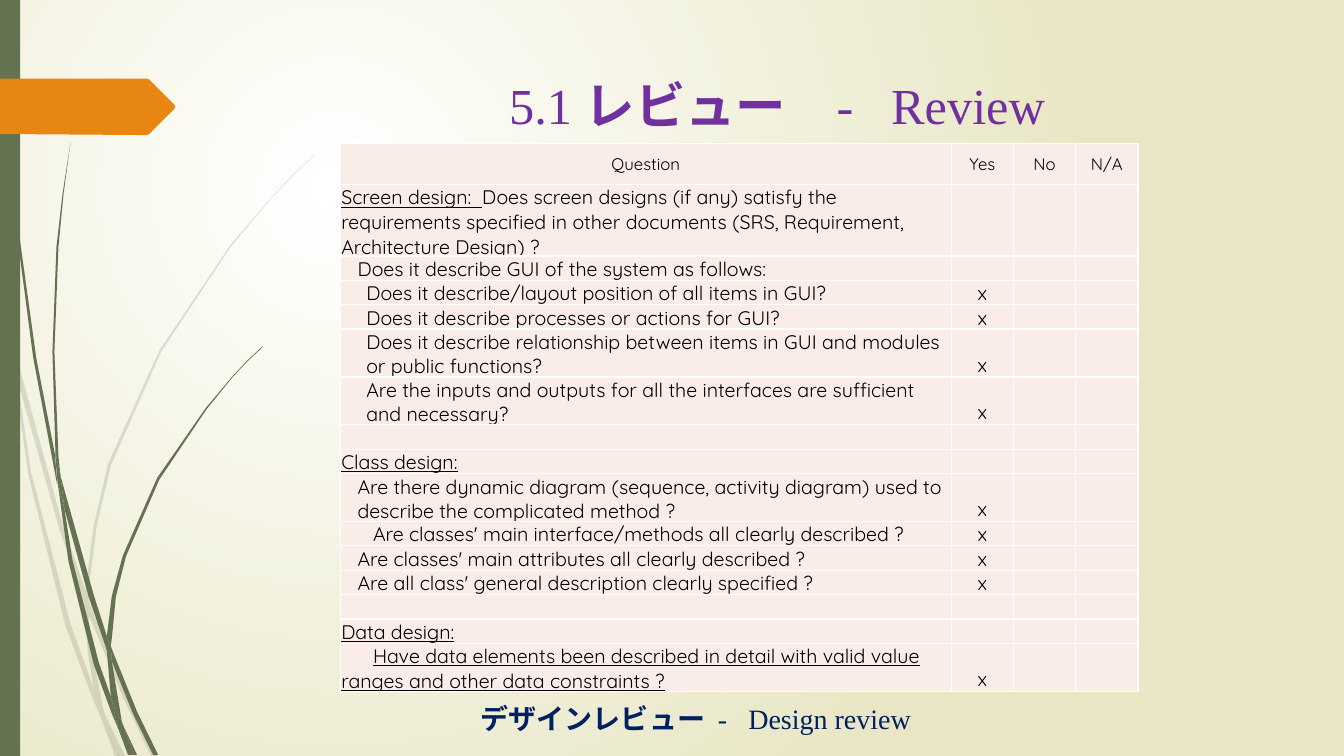
from lxml.etree import SubElement
from pptx import Presentation
from pptx.dml.color import RGBColor
from pptx.enum.shapes import MSO_SHAPE
from pptx.enum.text import MSO_ANCHOR, PP_ALIGN
from pptx.oxml.ns import qn
from pptx.util import Cm, Pt

COLORS = {"white": "FFFFFF", "sand": "E8E6C4", "green": "647252", "orange": "E78712",
          "purple": "7030A0", "navy": "002060", "pink": "FAEDE7", "black": "000000"}
LATIN, JAPANESE, TABLE_FONT = "Times New Roman", "Noto Sans CJK SC", "Quicksand"
OUTLINE_UNIT = Cm(2.54)
OUTLINE_STEPS = 100

PALE_GRASS = [
    [(0.11, 3.5), (0.09, 3.22), (0, 2.82), (0, 2.99), (0.1, 3.44)],
    [(0.58, 5.22), (0.84, 5.99), (0.85, 5.86), (0.62, 5.2), (0.14, 3.45), (0.17, 3.76)],
    [(0.92, 6.07), (0.88, 5.96), (0.88, 6.1), (1.23, 6.94), (1.5, 7.5), (1.55, 7.5),
     (1.27, 6.92)],
    [(1.19, 7.5), (1.24, 7.5), (1.05, 7.11)],
    [(0.93, 6.83), (0.7, 6.19), (0.31, 4.69), (0.17, 3.76), (0.11, 3.5), (0.28, 4.7),
     (0.65, 6.21), (0.92, 6.93), (1.01, 7.14), (0.99, 7.07)],
    [(0.84, 5.99), (0.87, 6.46), (0.93, 6.83), (0.96, 6.92), (1.05, 7.11), (1.03, 7.06),
     (0.91, 6.46), (0.88, 6.1), (0.88, 6.08)],
    [(0.88, 5.84), (0.96, 5.22), (1.1, 4.62), (1.6, 3.49), (2.29, 2.45), (2.68, 1.98),
     (2.9, 1.75), (3.12, 1.54), (3.12, 1.53), (2.89, 1.75), (2.68, 1.97), (2.28, 2.44),
     (1.58, 3.48), (1.07, 4.61), (0.93, 5.22), (0.85, 5.84), (0.85, 5.86), (0.88, 5.96)],
    [(1.01, 7.14), (1.14, 7.5), (1.19, 7.5)],
    [(0.88, 6.08), (0.88, 6.1), (0.88, 5.96), (0.85, 5.86), (0.84, 5.99)],
    [(0.96, 6.92), (0.93, 6.83), (0.99, 7.07), (1.01, 7.14), (1.19, 7.5), (1.05, 7.11)],
]
DARK_GRASS = [
    [(0.07, 1.1), (0.17, 2.33), (0.33, 3.55), (0.56, 4.77), (0.57, 4.81), (0.55, 4.57),
     (0.55, 4.53), (0.36, 3.55), (0.19, 2.32), (0.08, 1.09), (0.05, 0.48), (0.04, 0),
     (0.03, 0), (0.04, 0.48)],
    [(0.88, 5.92), (1.06, 6.45), (1.06, 6.33), (1.06, 6.31), (0.93, 5.9), (0.6, 4.72),
     (0.64, 5.05)],
    [(1.13, 6.49), (1.1, 6.41), (1.11, 6.56), (1.32, 7.08), (1.52, 7.49), (1.57, 7.49),
     (1.36, 7.06)],
    [(1.1, 6.91), (0.98, 6.57), (0.72, 5.56), (0.64, 5.05), (0.57, 4.77), (0.68, 5.57),
     (0.93, 6.59), (1.11, 7.08), (1.17, 7.22), (1.16, 7.17)],
    [(0.6, 4.72), (0.58, 4.53), (0.54, 3.49), (0.58, 2.45), (0.63, 1.93), (0.7, 1.41),
     (0.62, 1.93), (0.56, 2.45), (0.52, 3.49), (0.55, 4.49)],
    [(1.33, 7.49), (1.36, 7.49), (1.22, 7.19)],
    [(0.57, 4.77), (0.64, 5.05), (0.6, 4.72), (0.55, 4.49), (0.55, 4.53)],
    [(1.11, 6.33), (1.15, 5.92), (1.25, 5.52), (1.58, 4.76), (2.05, 4.06), (2.31, 3.74),
     (2.45, 3.59), (2.61, 3.44), (2.6, 3.44), (2.45, 3.58), (2.31, 3.73), (2.04, 4.05),
     (1.56, 4.74), (1.22, 5.51), (1.11, 5.91), (1.06, 6.31), (1.1, 6.41)],
    [(1.17, 7.22), (1.27, 7.49), (1.31, 7.49)],
    [(1.06, 6.45), (1.1, 6.91), (1.16, 7.06), (1.22, 7.19), (1.21, 7.16), (1.11, 6.56),
     (1.09, 6.51)],
    [(1.06, 6.45), (1.09, 6.51), (1.11, 6.56), (1.1, 6.41), (1.06, 6.31), (1.06, 6.33)],
    [(1.16, 7.06), (1.1, 6.91), (1.16, 7.17), (1.17, 7.22), (1.3, 7.49), (1.33, 7.49),
     (1.22, 7.19)],
]
PAGE_MARKER = [(1.73, 1.08), (1.48, 1.33), (1.46, 1.34), (1.36, 1.34), (0, 1.33), (0, 0.78),
               (1.46, 0.78), (1.48, 0.79), (1.73, 1.04), (1.74, 1.06)]

HEADINGS = ["Question", "Yes", "No", "N/A"]
LINE_HEIGHTS = {1: 0.58, 2: 1.14, 3: 1.68}
TOP, BOTTOM = MSO_ANCHOR.TOP, MSO_ANCHOR.BOTTOM
# lines, left inset, first-line indent, anchor, [(text, underlined)], answer under Yes
QUESTIONS = [
    (3, 0.02, 0, TOP, [("Screen design:  ", True),
                       ("Does screen designs (if any) satisfy the requirements specified in other "
                        "documents (SRS, Requirement, Architecture Design) ?", False)], ""),
    (1, 0.43, 0, BOTTOM, [("Does it describe GUI of the system as follows:", False)], ""),
    (1, 0.65, 0, BOTTOM, [("Does it describe/layout position of all items in GUI?", False)], "x"),
    (1, 0.65, 0, BOTTOM, [("Does it describe processes or actions for GUI?", False)], "x"),
    (2, 0.65, 0, BOTTOM, [("Does it describe relationship between items in GUI and modules or "
                           "public functions?", False)], "x"),
    (2, 0.65, 0, BOTTOM, [("Are the inputs and outputs for all the interfaces are sufficient and "
                           "necessary?", False)], "x"),
    (1, 0.02, 0, TOP, [], ""),
    (1, 0.02, 0, TOP, [("Class design:", True)], ""),
    (2, 0.43, 0, TOP, [("Are there dynamic diagram (sequence, activity diagram) used to describe "
                        "the complicated method ?", False)], "x"),
    (1, 0.02, 0.8, TOP, [("Are classes' main interface/methods all clearly described ?", False)], "x"),
    (1, 0.43, 0, TOP, [("Are classes' main attributes all clearly described ?", False)], "x"),
    (1, 0.43, 0, TOP, [("Are all class' general description clearly specified ?", False)], "x"),
    (1, 0.02, 0, TOP, [], ""),
    (1, 0.02, 0, TOP, [("Data design:", True)], ""),
    (2, 0.02, 0.8, TOP, [("Have data elements been described in detail with valid value ranges and "
                          "other data constraints ?", True)], "x"),
]


def rgb(name):
    return RGBColor.from_string(COLORS[name])


def set_background(slide):
    fill = slide.background.fill
    fill.gradient()
    for stop, position, color in zip(fill.gradient_stops, (0, 1), ("white", "sand")):
        stop.position = position
        stop.color.rgb = rgb(color)
    gradient = slide.element.xpath(".//a:gradFill")[0]
    for linear in gradient.findall(qn("a:lin")):
        gradient.remove(linear)
    circle = SubElement(gradient, qn("a:path"), {"path": "circle"})
    SubElement(circle, qn("a:fillToRect"), l="50000", t="50000", r="100000", b="100000")


def paint(shape, color):
    shape.shadow.inherit = False
    shape.fill.solid()
    shape.fill.fore_color.rgb = rgb(color)
    shape.line.fill.background()


def add_outline(shapes, points, color):
    """Draw a closed outline; the builder takes whole numbers, so points become hundredths."""
    start, *others = [(round(x * OUTLINE_STEPS), round(y * OUTLINE_STEPS)) for x, y in points]
    builder = shapes.build_freeform(*start, scale=OUTLINE_UNIT / OUTLINE_STEPS)
    builder.add_line_segments(others, close=True)
    shape = builder.convert_to_shape()
    paint(shape, color)
    return shape


def add_grass(slide, blades, opacity):
    group = slide.shapes.add_group_shape()
    for points in blades:
        blade = add_outline(group.shapes, points, "green")
        if opacity < 100:
            color = blade._element.spPr.find(qn("a:solidFill"))[0]
            SubElement(color, qn("a:alpha"), val=str(opacity * 1000))


def add_run(paragraph, text, font, size, color, bold=False, underline=False):
    run = paragraph.add_run()
    run.text = text
    run.font.name, run.font.size = font, Pt(size)
    run.font.bold, run.font.underline = bold, underline
    run.font.color.rgb = rgb(color)
    SubElement(run._r.get_or_add_rPr(), qn("a:ea"), typeface=font)


def add_caption(slide, position, size, color, japanese, english, number=""):
    box = slide.shapes.add_textbox(*map(Cm, position))
    box.text_frame.word_wrap = True
    box.text_frame.vertical_anchor = MSO_ANCHOR.MIDDLE
    paragraph = box.text_frame.paragraphs[0]
    paragraph.alignment = PP_ALIGN.CENTER
    if number:
        add_run(paragraph, number, LATIN, size, color)
    add_run(paragraph, japanese, JAPANESE, size, color, bold=True)
    add_run(paragraph, english, LATIN, size, color)


def fill_cell(cell, runs, size, anchor, left=0.02, indent=0, centred=True):
    cell.margin_left, cell.margin_right = Cm(left), Cm(0.02)
    cell.margin_top, cell.margin_bottom = Cm(0.02), 0
    cell.vertical_anchor = anchor
    paragraph = cell.text_frame.paragraphs[0]
    paragraph.alignment = PP_ALIGN.CENTER if centred else PP_ALIGN.LEFT
    if indent:
        paragraph._p.get_or_add_pPr().set("indent", str(Cm(indent)))
    for text, underline in runs:
        add_run(paragraph, text, TABLE_FONT, size, "black", underline=underline)
    if not runs:
        SubElement(paragraph._p, qn("a:endParaRPr"), sz=str(size * 100))
    properties = cell._tc.get_or_add_tcPr()
    for side in ("lnL", "lnR", "lnT", "lnB"):
        border = SubElement(properties, qn(f"a:{side}"), w=str(Pt(1)))
        SubElement(SubElement(border, qn("a:solidFill")), qn("a:srgbClr"), val=COLORS["white"])
    cell.fill.solid()
    cell.fill.fore_color.rgb = rgb("pink")


def add_checklist(slide):
    frame = slide.shapes.add_table(len(QUESTIONS) + 1, len(HEADINGS),
                                   Cm(8.58), Cm(3.61), Cm(20.1), Cm(13.77))
    table = frame.table
    table.first_row = table.horz_banding = False
    for column, width in zip(table.columns, (15.39, 1.57, 1.57, 1.57)):
        column.width = Cm(width)
    table.rows[0].height = Cm(1.04)
    for column, heading in enumerate(HEADINGS):
        fill_cell(table.cell(0, column), [(heading, False)], 12, MSO_ANCHOR.MIDDLE)
    for row, (lines, left, indent, anchor, runs, answer) in enumerate(QUESTIONS, 1):
        table.rows[row].height = Cm(LINE_HEIGHTS[lines])
        fill_cell(table.cell(row, 0), runs, 14, anchor, left, indent, centred=False)
        for column, mark in enumerate((answer, "", ""), 1):
            fill_cell(table.cell(row, column), [(mark, False)] if mark else [], 14, BOTTOM)
    frame.height = Cm(13.77)


def main():
    presentation = Presentation()
    presentation.slide_width, presentation.slide_height = Cm(33.87), Cm(19.05)
    slide = presentation.slides.add_slide(presentation.slide_layouts[6])
    set_background(slide)
    add_grass(slide, PALE_GRASS, 20)
    add_grass(slide, DARK_GRASS, 100)
    paint(slide.shapes.add_shape(MSO_SHAPE.RECTANGLE, 0, 0, Cm(0.51), Cm(19.05)), "green")
    add_outline(slide.shapes, PAGE_MARKER, "orange")
    add_caption(slide, (7.2, 1.71, 24.77, 1.85), 36, "purple", "レビュー　", "-   Review", "5.1 ")
    add_caption(slide, (10.1, 17.55, 14.88, 1.12), 20, "navy", "デザインレビュー  ", "-   Design review")
    add_checklist(slide)
    presentation.save("out.pptx")


if __name__ == "__main__":
    main()
